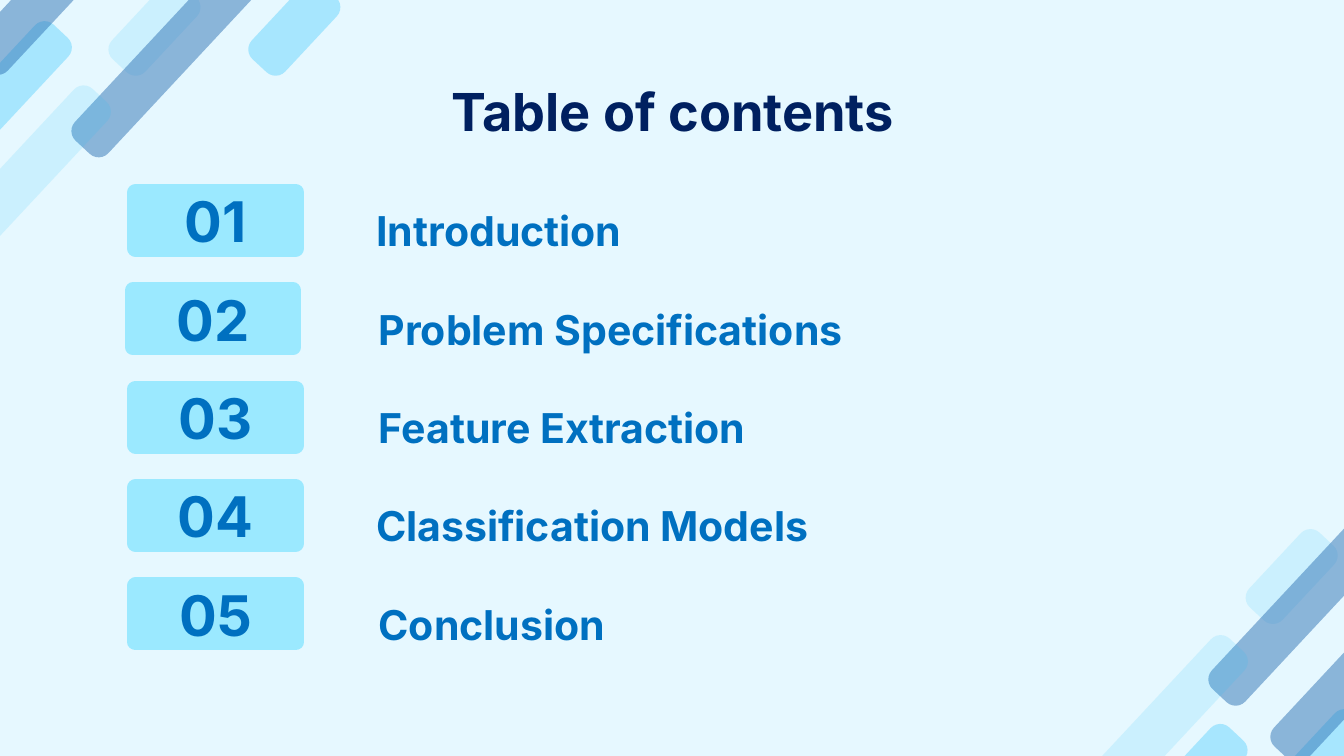
from dataclasses import dataclass

import pptx
import pptx.dml.color
import pptx.enum.shapes
import pptx.enum.text
import pptx.oxml.ns
import pptx.util
from lxml import etree

Pt = pptx.util.Pt
MSO_ANCHOR = pptx.enum.text.MSO_ANCHOR
PP_ALIGN = pptx.enum.text.PP_ALIGN
MSO_SHAPE = pptx.enum.shapes.MSO_SHAPE

COLORS = {
    "background": "E6F8FF",
    "title": "002060",
    "entry": "0070C0",
    "badge": "9BE9FF",
    "sky": "17BFFE",
    "steel": "2C70B3",
}
TITLE_FONT = {"name": "Inter", "size": Pt(28), "bold": True}
NUMBER_FONT = {"name": "Inter", "size": Pt(30), "bold": True}
ENTRY_FONT = {"name": "Inter", "size": Pt(22), "bold": True}

FIRST_ROW, ROW_PITCH = 103, 52.7
BADGE_WIDTH, BADGE_HEIGHT = 85.7, 30.2
ENTRY_WIDTH, ENTRY_HEIGHT = 396, 51.8
STRIPE_HEIGHT, STRIPE_ANGLE, STRIPE_ROUNDING = 24.5, 133, 0.29


@dataclass
class Stripe:
    width: float
    color: str
    opacity: int
    top_left_corner: tuple[float, float]
    bottom_right_corner: tuple[float, float]


@dataclass
class Entry:
    title: str
    badge_left: float
    title_left: float


STRIPES = [
    Stripe(54.7, "sky", 13, (55.4, 2.9), (664.6, 296.6)),
    Stripe(160.6, "steel", 49, (18.7, 7.9), (627.8, 301.7)),
    Stripe(76.3, "sky", 30, (-31.7, 32.4), (664.6, 401)),
    Stripe(139.7, "sky", 13, (-64.1, 90), (545, 384.5)),
    Stripe(54.7, "sky", 30, (130.3, 2.9), (616.3, 401)),
    Stripe(79.2, "steel", 49, (-22.3, -6.5), (673.9, 362.2)),
]
ENTRIES = [
    Entry("Introduction", 72.7, 194.4),
    Entry("Problem Specifications", 71.3, 195.8),
    Entry("Feature Extraction", 72.7, 195.8),
    Entry("Classification Models", 72.7, 194.4),
    Entry("Conclusion", 72.7, 195.8),
]


def rgb(color: str) -> pptx.dml.color.RGBColor:
    return pptx.dml.color.RGBColor.from_string(COLORS[color])


def place(shape, left: float, top: float, width: float, height: float) -> None:
    shape.left, shape.top = Pt(left), Pt(top)
    shape.width, shape.height = Pt(width), Pt(height)


def write(shape, text: str, font: dict, color: str, align, anchor=MSO_ANCHOR.TOP) -> None:
    frame = shape.text_frame
    frame_format = {
        "word_wrap": True,
        "auto_size": pptx.enum.text.MSO_AUTO_SIZE.NONE,
        "vertical_anchor": anchor,
        **{f"margin_{side}": Pt(7.2) for side in ("left", "top", "right", "bottom")},
    }
    for attribute, value in frame_format.items():
        setattr(frame, attribute, value)
    paragraph = frame.paragraphs[0]
    paragraph.alignment = align
    paragraph.space_before = Pt(0)
    run = paragraph.add_run()
    run.text = text
    for attribute, value in font.items():
        setattr(run.font, attribute, value)
    run.font.color.rgb = rgb(color)


def remove_bullet(shape) -> None:
    properties = shape.text_frame.paragraphs[0]._p.get_or_add_pPr()
    properties.set("marL", "0")
    properties.set("indent", "0")
    etree.SubElement(properties, pptx.oxml.ns.qn("a:buNone"))


def add_filled(slide, kind, box: tuple[float, float, float, float], color: str):
    shape = slide.shapes.add_shape(kind, *map(Pt, box))
    shape.shadow.inherit = False
    shape.fill.solid()
    shape.fill.fore_color.rgb = rgb(color)
    return shape


def add_stripe(slide, stripe: Stripe, corner: tuple[float, float]) -> None:
    """Draw a translucent stripe and move it to the layout, behind the content."""
    shape = add_filled(slide, MSO_SHAPE.ROUNDED_RECTANGLE,
                       (*corner, stripe.width, STRIPE_HEIGHT), stripe.color)
    shape.adjustments[0] = STRIPE_ROUNDING
    shape.rotation = STRIPE_ANGLE
    shape.line.fill.background()
    fill_color = shape.element.spPr.find(".//" + pptx.oxml.ns.qn("a:srgbClr"))
    etree.SubElement(fill_color, pptx.oxml.ns.qn("a:alpha"), val=str(stripe.opacity * 1000))
    slide.slide_layout.shapes.element.append(shape.element)


def add_badge(slide, number: int, left: float, top: float) -> None:
    badge = add_filled(slide, MSO_SHAPE.RECTANGLE,
                       (left, top, BADGE_WIDTH, BADGE_HEIGHT), "badge")
    badge.line.color.rgb = rgb("badge")
    badge.line.width = Pt(9)
    etree.SubElement(badge.line._get_or_add_ln(), pptx.oxml.ns.qn("a:round"))
    write(badge, f"{number:02}", NUMBER_FONT, "entry", PP_ALIGN.CENTER, MSO_ANCHOR.MIDDLE)


def main() -> None:
    deck = pptx.Presentation()
    deck.slide_width, deck.slide_height = Pt(720), Pt(405)
    slide = deck.slides.add_slide(deck.slide_layouts[1])
    slide.background.fill.solid()
    slide.background.fill.fore_color.rgb = rgb("background")

    for stripe in STRIPES:
        for corner in (stripe.top_left_corner, stripe.bottom_right_corner):
            add_stripe(slide, stripe, corner)

    heading = slide.shapes.title
    place(heading, 56.9, 35.3, 607, 45.4)
    write(heading, "Table of contents", TITLE_FONT, "title", PP_ALIGN.CENTER)

    body = slide.placeholders[1]
    remove_bullet(body)
    for row, entry in enumerate(ENTRIES):
        top = FIRST_ROW + row * ROW_PITCH
        add_badge(slide, row + 1, entry.badge_left, top)
        label = body if row == 0 else slide.shapes.add_textbox(0, 0, 0, 0)
        place(label, entry.title_left, top, ENTRY_WIDTH, ENTRY_HEIGHT)
        write(label, entry.title, ENTRY_FONT, "entry", PP_ALIGN.LEFT)

    deck.save("out.pptx")


if __name__ == "__main__":
    main()
